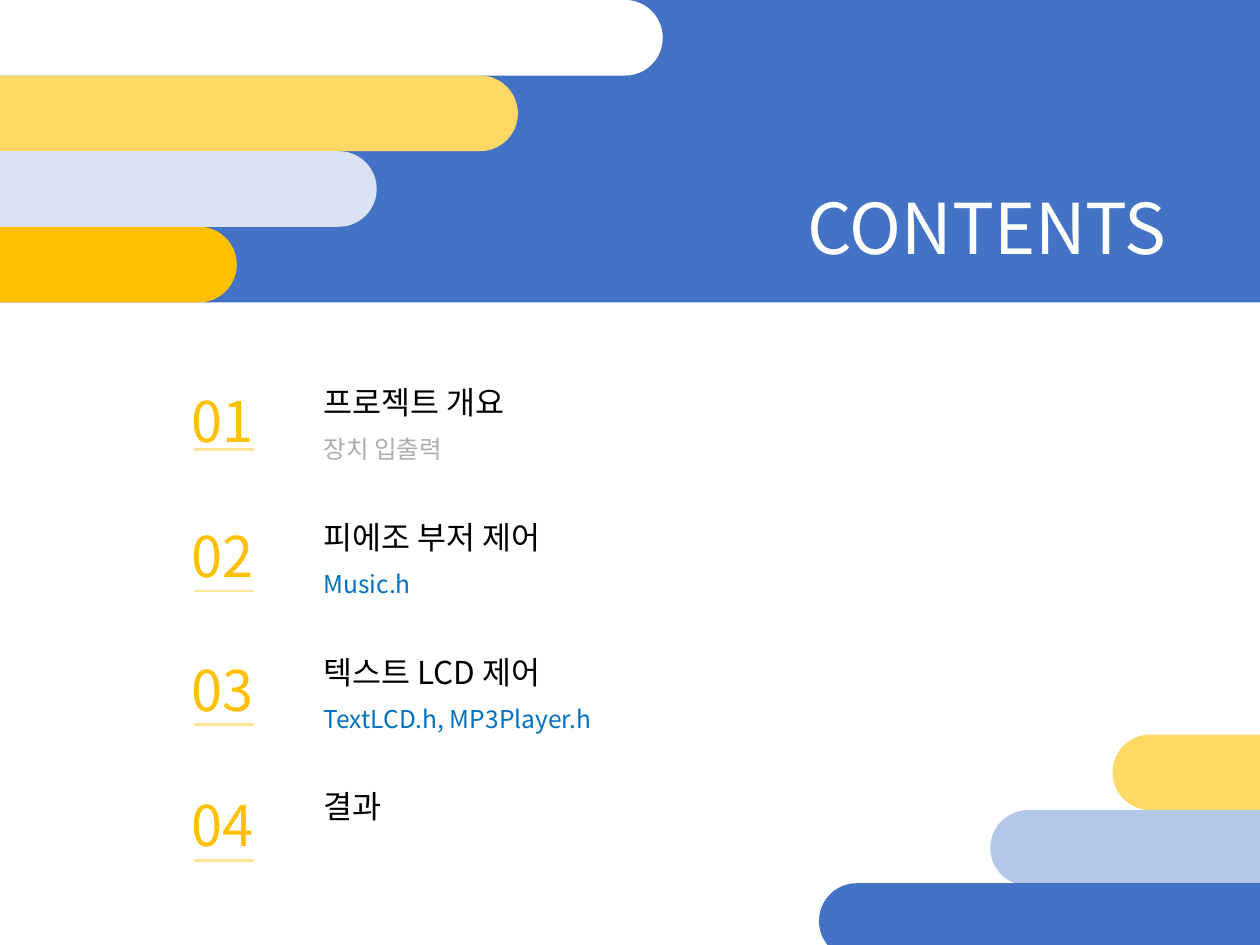
from lxml import etree
from pptx import Presentation
from pptx import util as u
from pptx.dml.color import RGBColor
from pptx.enum import shapes, text
from pptx.oxml.ns import qn

PX = 9144  # 100 px to the inch
FONT = "Noto Sans CJK KR"
WHITE = RGBColor(0xFF, 0xFF, 0xFF)
BLACK = RGBColor(0x00, 0x00, 0x00)
GRAY = RGBColor(0xAF, 0xAB, 0xAB)
BLUE = RGBColor(0x44, 0x72, 0xC4)
MID_BLUE = RGBColor(0xB4, 0xC7, 0xE7)
PALE_BLUE = RGBColor(0xDA, 0xE3, 0xF3)
LINK_BLUE = RGBColor(0x00, 0x70, 0xC0)
GOLD = RGBColor(0xFF, 0xC0, 0x00)
YELLOW = RGBColor(0xFF, 0xD9, 0x66)
PALE_YELLOW = RGBColor(0xFF, 0xE6, 0x99)

BAR_HEIGHT = 60
ROW_TOP, ROW_STEP = 275, 107

deck = Presentation()
deck.slide_width, deck.slide_height = 1000 * PX, 750 * PX
page = deck.slides.add_slide(deck.slide_layouts[6])


def add_text(words, *, left, top, width, height, size, color):
    box = page.shapes.add_textbox(left * PX, top * PX, width * PX, height * PX)
    frame = box.text_frame
    frame.word_wrap = True
    frame.auto_size = text.MSO_AUTO_SIZE.SHAPE_TO_FIT_TEXT
    para = frame.paragraphs[0]
    para.line_spacing = 1.5
    span = para.add_run()
    span.text = words
    span.font.size = u.Pt(size)
    span.font.name = FONT
    span.font.color.rgb = color
    etree.SubElement(span.font._element, qn("a:ea"), typeface=FONT)


def add_bar(kind, left, top, width, height, color):
    bar = page.shapes.add_shape(kind, left * PX, top * PX, width * PX, height * PX)
    bar.shadow.inherit = False
    bar.fill.solid()
    bar.fill.fore_color.rgb = color
    bar.line.fill.background()
    return bar


# Header band and title
add_bar(shapes.MSO_SHAPE.RECTANGLE, 0, 0, 1000, 240, BLUE)
add_text("CONTENTS", left=631, top=108, width=311, height=101, size=40, color=WHITE)

# Rounded bars that run off the left and right edges
header_bars = [(564, WHITE), (449, YELLOW), (337, PALE_BLUE), (226, GOLD)]
bars = [(-38, i * BAR_HEIGHT, width, color)
        for i, (width, color) in enumerate(header_bars)]
footer_bars = [(883, 583, YELLOW), (786, 643, MID_BLUE), (650, 701, BLUE)]
bars += [(left, top, 1046 - left, color) for left, top, color in footer_bars]
for left, top, width, color in bars:
    bar = add_bar(shapes.MSO_SHAPE.ROUNDED_RECTANGLE, left, top, width, BAR_HEIGHT, color)
    bar.adjustments[0] = 0.5

# Contents: heading, detail, detail colour, height of the rule under the number
chapters = [
    ("프로젝트 개요", "장치 입출력", GRAY, 357),
    ("피에조 부저 제어", "Music.h", LINK_BLUE, 469),
    ("텍스트 LCD 제어", "TextLCD.h, MP3Player.h", LINK_BLUE, 575),
    ("결과", None, None, 683),
]
for i, (heading, detail, detail_color, rule_y) in enumerate(chapters):
    top = ROW_TOP + i * ROW_STEP
    add_text(f"{i + 1:02d}", left=142, top=top, width=102, height=83, size=32, color=GOLD)
    add_text(heading, left=247, top=top + 9, width=457, height=51, size=18, color=BLACK)
    if detail:
        add_text(detail, left=247, top=top + 53, width=311, height=42, size=14,
                 color=detail_color)
    rule = page.shapes.add_connector(shapes.MSO_CONNECTOR.STRAIGHT,
                                     154 * PX, rule_y * PX, 202 * PX, rule_y * PX)
    rule.line.color.rgb = PALE_YELLOW
    rule.line.width = u.Pt(1.5)
    etree.SubElement(rule._element.spPr, qn("a:effectLst"))

deck.save("out.pptx")
